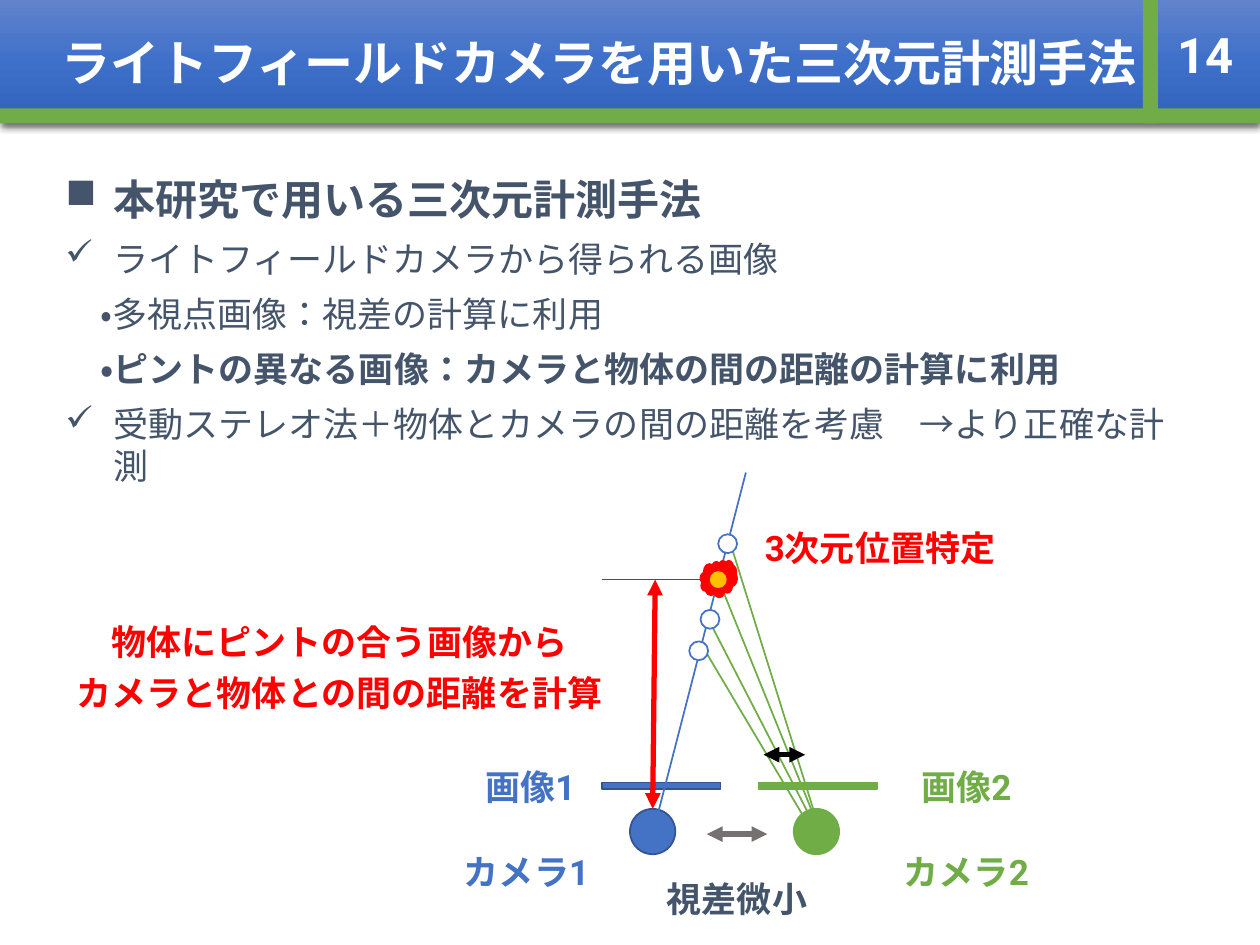
"""Build the slide on three-dimensional measurement with a light field camera."""
import pptx
import pptx.dml.color
import pptx.enum.dml
import pptx.enum.lang
import pptx.enum.shapes
import pptx.enum.text
import pptx.oxml
import pptx.oxml.ns
import pptx.util
from pptx.util import Inches

HUES = {
    "blue": "4472C4", "navy": "325491", "green": "70AD47", "red": "FF0000",
    "gold": "FFC000", "white": "FFFFFF", "black": "000000", "gray": "767171",
    "slate": "44546A", "top": "6183CB", "mid": "3E70CA", "low": "3062BB",
}
RGB = {name: pptx.dml.color.RGBColor.from_string(hue) for name, hue in HUES.items()}
KIND = pptx.enum.shapes.MSO_SHAPE
ALIGN = pptx.enum.text.PP_ALIGN
MID = pptx.enum.text.MSO_ANCHOR.MIDDLE
NS = pptx.oxml.ns.nsdecls("a")
GAP = pptx.util.Pt(7.5)


def draw(host, kind, box, fill, edge=None):
    shape = host.add_shape(kind, *map(Inches, box))
    shape.shadow.inherit = False
    shape.fill.solid()
    shape.fill.fore_color.rgb = RGB[fill]
    if edge:
        shape.line.color.rgb = RGB[edge]
        shape.line.width = pptx.util.Pt(1)
    else:
        shape.line.fill.background()
    return shape


def write(para, text, size, hue, bold=True, **form):
    for key, val in form.items():
        setattr(para, key, val)
    run = para.add_run()
    run.text = text
    look = {"name": "Roboto", "size": pptx.util.Pt(size), "bold": bold,
            "language_id": pptx.enum.lang.MSO_LANGUAGE_ID.JAPANESE}
    for key, val in look.items():
        setattr(run.font, key, val)
    run.font.color.rgb = RGB[hue]


deck = pptx.Presentation()
deck.slide_width, deck.slide_height = Inches(10), Inches(7.5)
slide = deck.slides.add_slide(deck.slide_layouts[6])
items = slide.shapes

head = draw(items, KIND.RECTANGLE, (0, 0, 10, 0.98), "mid")
head.fill.gradient()
head.fill.gradient_angle = 270
stops = head._element.spPr.find(".//" + pptx.oxml.ns.qn("a:gsLst"))
stops.append(pptx.oxml.parse_xml(f'<a:gs {NS} pos="0"><a:srgbClr val="{HUES["low"]}"/></a:gs>'))
for stop, place, hue in zip(head.fill.gradient_stops, (0, 0.5, 1), ("top", "mid", "low")):
    stop.position = place
    stop.color.rgb = RGB[hue]
glow = head._element.spPr.find(pptx.oxml.ns.qn("a:effectLst"))
glow.append(pptx.oxml.parse_xml(
    f'<a:outerShdw {NS} blurRad="57150" dist="19050" dir="5400000" algn="ctr" rotWithShape="0">'
    f'<a:srgbClr val="{HUES["black"]}"><a:alpha val="63000"/></a:srgbClr></a:outerShdw>'))
head.text_frame.vertical_anchor = MID
write(head.text_frame.paragraphs[0], "　ライトフィールドカメラを用いた三次元計測手法", 28, "white",
      alignment=ALIGN.LEFT)
draw(items, KIND.RECTANGLE, (0, 0.86, 10, 0.12), "green")
draw(items, KIND.RECTANGLE, (8.64, 0.43, 0.98, 0.12), "green").rotation = 270

body = items.add_textbox(*map(Inches, (0.42, 1.37, 9.15, 2.54))).text_frame
body.word_wrap = True
points = [
    ("■", "本研究で用いる三次元計測手法", 24, True, {"line_spacing": 0.9}),
    ("✓", "ライトフィールドカメラから得られる画像", 20, False, {"space_before": GAP}),
    ("", "　・多視点画像：視差の計算に利用", 20, False, {"space_before": GAP}),
    ("", "　・ピントの異なる画像：カメラと物体の間の距離の計算に利用", 20, True, {"space_before": GAP}),
    ("✓", "受動ステレオ法＋物体とカメラの間の距離を考慮　→より正確な計測", 20, False,
     {"space_before": GAP}),
]
for rank, (mark, text, size, bold, form) in enumerate(points):
    para = body.add_paragraph() if rank else body.paragraphs[0]
    if mark:
        props = para._p.get_or_add_pPr()
        props.set("marL", str(Inches(0.38)))
        props.set("indent", str(-Inches(0.38)))
        props.append(pptx.oxml.parse_xml(f'<a:buChar {NS} char="{mark}"/>'))
    write(para, text, size, "slate", bold, **form)

for left, cam, hue, edge in ((4.78, 5, "blue", "navy"), (6.02, 6.3, "green", "green")):
    draw(items, KIND.RECTANGLE, (left, 6.21, 0.94, 0.05), hue, edge)
    draw(items, KIND.OVAL, (cam, 6.42, 0.36, 0.36), hue, edge)

rays = [
    ((5.92, 3.75, 5.18, 6.62), "blue", 1),
    ((5.57, 5.12, 6.46, 6.62), "green", 1),
    ((5.63, 4.93, 6.49, 6.6), "green", 1),
    ((5.71, 4.62, 6.51, 6.6), "green", 1),
    ((5.79, 4.29, 6.51, 6.6), "green", 1),
    ((5.7, 4.6, 4.78, 4.6), "red", 0.5),
]
arrows = [
    ((6.06, 5.99, 6.39, 5.99), "black", 3),
    ((5.2, 4.6, 5.18, 6.42), "red", 3),
    ((5.61, 6.62, 6.09, 6.62), "gray", 3),
]
for ends, hue, width in rays + arrows:
    link = items.add_connector(pptx.enum.shapes.MSO_CONNECTOR.STRAIGHT, *map(Inches, ends))
    link.line.color.rgb = RGB[hue]
    link.line.width = pptx.util.Pt(width)
    if width == 3:
        for tip in ("headEnd", "tailEnd"):
            link.line._get_or_add_ln().append(
                pptx.oxml.parse_xml(f'<a:{tip} {NS} type="triangle"/>'))
    link._element.spPr.append(pptx.oxml.parse_xml(f"<a:effectLst {NS}/>"))

for left, top in ((5.47, 5.09), (5.56, 4.84), (5.7, 4.24)):
    draw(items, KIND.OVAL, (left, top, 0.15, 0.15), "white", "blue")
bloom = items.add_group_shape().shapes
draw(bloom, KIND.CLOUD, (5.56, 4.45, 0.29, 0.29), "red", "red")
draw(bloom, KIND.OVAL, (5.64, 4.54, 0.12, 0.12), "gold", "gold")

labels = [
    ((4.82, 6.95, 2.06, 0.55), "slate", ["視差微小"]),
    ((3.15, 6.74, 2.06, 0.55), "blue", ["カメラ1"]),
    ((6.64, 6.74, 2.06, 0.55), "green", ["カメラ2"]),
    ((6.64, 6.06, 2.06, 0.55), "green", ["画像2"]),
    ((3.18, 6.06, 2.06, 0.55), "blue", ["画像1"]),
    ((0.33, 4.91, 4.73, 1.62), "red",
     ["物体にピントの合う画像から", "カメラと物体との間の距離を計算"]),
    ((5.72, 4.17, 2.53, 0.55), "red", ["3次元位置特定"]),
    ((9.13, 0, 0.87, 0.86), "white", ["14"]),
]
for box, hue, lines in labels:
    frame = items.add_textbox(*map(Inches, box)).text_frame
    frame.word_wrap = True
    page = hue == "white"
    if page:
        frame.vertical_anchor = MID
    for rank, text in enumerate(lines):
        para = frame.add_paragraph() if rank else frame.paragraphs[0]
        form = {"alignment": ALIGN.CENTER, "line_spacing": 1.0 if page else 0.9}
        if rank:
            form["space_before"] = GAP
        write(para, text, 28 if page else 20, hue, **form)

deck.save("out.pptx")
